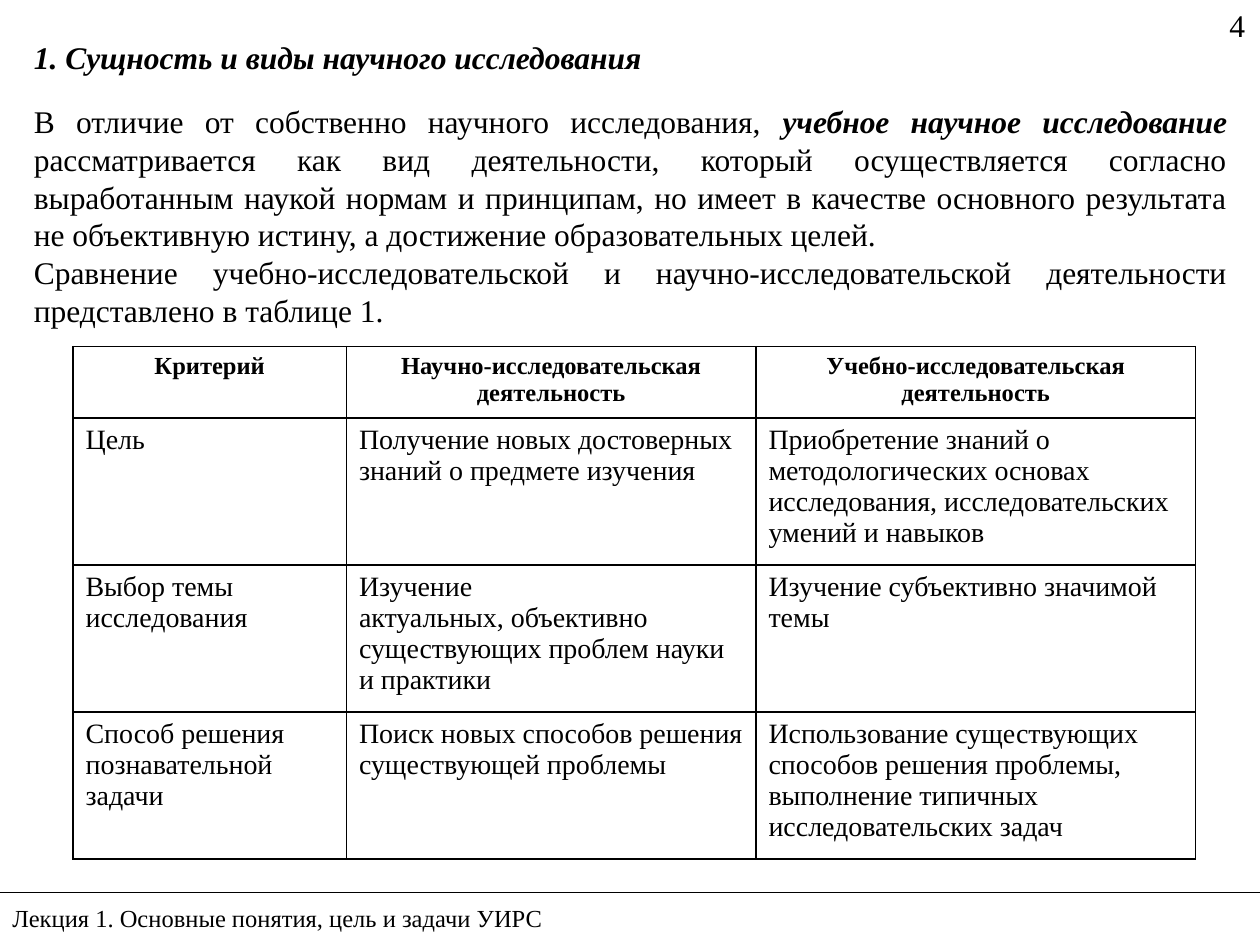
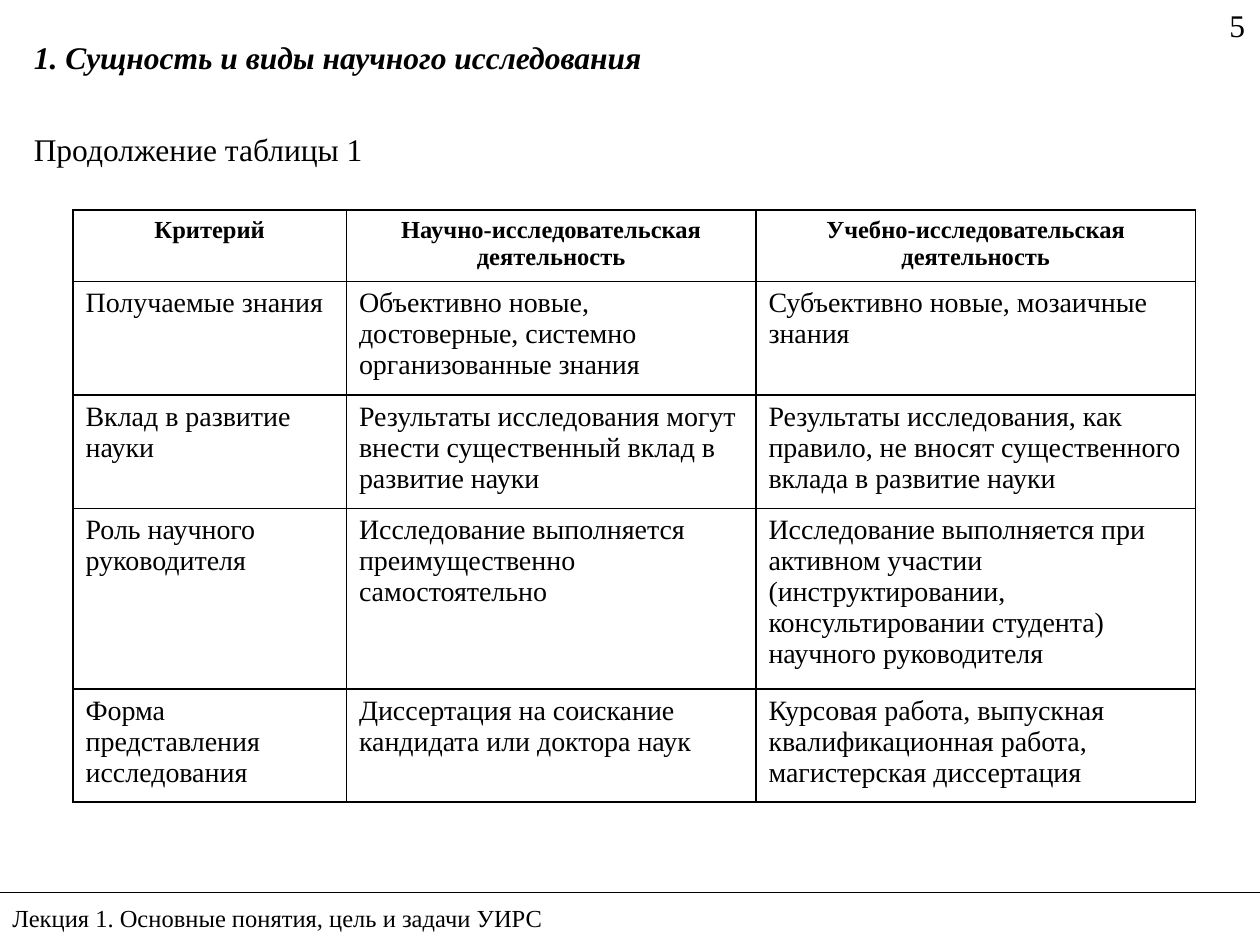
from dataclasses import dataclass

from lxml import etree
from pptx import Presentation
from pptx import util as u
from pptx.dml.color import RGBColor
from pptx.enum import shapes, text
from pptx.oxml.ns import qn

TITLE = "1. Сущность и виды научного исследования"
FOOT = "Лекция 1. Основные понятия, цель и задачи УИРС"
HEAD = ("Критерий", "Научно-исследовательская деятельность",
        "Учебно-исследовательская деятельность")

# Body: paragraphs made of (words, stressed) runs; rows: (height, cells)
PAGES = [
    {
        "page": "4",
        "body": [
            [("В отличие от собственно научного исследования, ", False),
             ("учебное научное исследование ", True),
             ("рассматривается как вид деятельности, который осуществляется "
              "согласно выработанным наукой нормам и принципам, но имеет в "
              "качестве основного результата не объективную истину, а "
              "достижение образовательных целей.", False)],
            [("Сравнение учебно-исследовательской и научно-исследовательской "
              "деятельности представлено в таблице 1.", False)],
        ],
        "box": (12.24, 54, 696.24, 138.24),
        "top": 198,
        "rows": [
            (84, ("Цель",
                  "Получение новых достоверных знаний о предмете изучения",
                  "Приобретение знаний о методологических основах "
                  "исследования, исследовательских умений и навыков")),
            (84, ("Выбор темы исследования",
                  "Изучение\nактуальных, объективно существующих проблем "
                  "науки и практики",
                  "Изучение субъективно значимой темы")),
            (84, ("Способ решения познавательной задачи",
                  "Поиск новых способов решения существующей проблемы",
                  "Использование существующих способов решения проблемы, "
                  "выполнение типичных исследовательских задач")),
        ],
    },
    {
        "page": "5",
        "body": [[("Продолжение таблицы 1", False)]],
        "box": (12.24, 70.56, 696.24, 28.8),
        "top": 120,
        "rows": [
            (64.8, ("Получаемые знания",
                    "Объективно новые, достоверные, системно организованные "
                    "знания",
                    "Субъективно новые, мозаичные знания")),
            (64.8, ("Вклад в развитие науки",
                    "Результаты исследования могут внести существенный вклад "
                    "в развитие науки",
                    "Результаты исследования, как правило, не вносят "
                    "существенного вклада в развитие науки")),
            (103.2, ("Роль научного руководителя",
                     "Исследование выполняется преимущественно самостоятельно",
                     "Исследование выполняется при активном участии "
                     "(инструктировании, консультировании студента) научного "
                     "руководителя")),
            (64.8, ("Форма представления\nисследования",
                    "Диссертация на соискание кандидата или доктора наук",
                    "Курсовая работа, выпускная квалификационная работа, "
                    "магистерская диссертация")),
        ],
    },
]


@dataclass(frozen=True)
class Theme:
    font: str = "Times New Roman"
    ink: str = "000000"
    paper: str = "FFFFFF"
    main: float = 18
    cell: float = 16
    small: float = 14
    rule: float = 0.75
    grid: float = 1


LOOK = Theme()
WIDE, HIGH = 720, 540
RULE_Y = 510
LEFT = 41.76
COLS = (156.24, 234, 251.28)
HEAD_H = 40.8
ALIGN = text.PP_ALIGN
MID = text.MSO_ANCHOR.MIDDLE


def apply(item, values):
    for name, value in values.items():
        setattr(item, name, value)


def write(frame, paras, size, align=ALIGN.LEFT, **style):
    """Fill a text frame with paragraphs of (words, stressed) runs."""
    for i, runs in enumerate(paras):
        para = frame.add_paragraph() if i else frame.paragraphs[0]
        para.alignment = align
        for words, stress in runs:
            run = para.add_run()
            run.text = words
            form = {"name": LOOK.font, "size": u.Pt(size),
                    "bold": stress, "italic": stress}
            apply(run.font, {**form, **style})
            run.font.color.rgb = RGBColor.from_string(LOOK.ink)


def plain(words):
    return [[(line, False)] for line in words.split("\n")]


def label(slide, box, paras, size, align=ALIGN.LEFT, wrap=True, anchor=MID,
          **style):
    frame = slide.shapes.add_textbox(*map(u.Pt, box)).text_frame
    apply(frame, {"word_wrap": wrap, "vertical_anchor": anchor,
                  "auto_size": text.MSO_AUTO_SIZE.SHAPE_TO_FIT_TEXT})
    write(frame, paras, size, align, **style)


def edge(cell):
    """Draw the four borders, placed ahead of the cell's fill."""
    props = cell._tc.get_or_add_tcPr()
    for i, side in enumerate(("lnL", "lnR", "lnT", "lnB")):
        line = etree.Element(qn("a:" + side), w=str(u.Pt(LOOK.grid)))
        fill = etree.SubElement(line, qn("a:solidFill"))
        etree.SubElement(fill, qn("a:srgbClr"), val=LOOK.ink)
        props.insert(i, line)


def table(slide, top, rows):
    rows = [(HEAD_H, HEAD), *rows]
    high = sum(row[0] for row in rows)
    grid = slide.shapes.add_table(
        len(rows), len(COLS), u.Pt(LEFT), u.Pt(top),
        u.Pt(sum(COLS)), u.Pt(high)).table
    apply(grid, {"first_row": False, "horz_banding": False})
    for col, wide in zip(grid.columns, COLS):
        col.width = u.Pt(wide)
    for r, (tall, cells) in enumerate(rows):
        grid.rows[r].height = u.Pt(tall)
        for c, words in enumerate(cells):
            cell = grid.cell(r, c)
            cell.fill.background()
            edge(cell)
            if r:
                write(cell.text_frame, plain(words), LOOK.cell)
            else:
                write(cell.text_frame, plain(words), LOOK.small,
                      ALIGN.CENTER, bold=True)


def frame(slide, page):
    """Add what all slides share: footer, rule, title, page number."""
    back = slide.background.fill
    back.solid()
    back.fore_color.rgb = RGBColor.from_string(LOOK.paper)
    label(slide, (0, 512.64, WIDE, 24), plain(FOOT), LOOK.small)
    rule = slide.shapes.add_connector(
        shapes.MSO_CONNECTOR.STRAIGHT, 0, u.Pt(RULE_Y), u.Pt(WIDE),
        u.Pt(RULE_Y))
    rule.line.width = u.Pt(LOOK.rule)
    rule.line.color.rgb = RGBColor.from_string(LOOK.ink)
    etree.SubElement(rule._element.spPr, qn("a:effectLst"))
    label(slide, (12.24, 18, 694, 28.8), plain(TITLE), LOOK.main,
          bold=True, italic=True)
    label(slide, (695.52, 0, 23.76, 28.8), plain(page), LOOK.main,
          wrap=False, anchor=text.MSO_ANCHOR.TOP)


def main():
    deck = Presentation()
    apply(deck, {"slide_width": u.Pt(WIDE), "slide_height": u.Pt(HIGH)})
    for data in PAGES:
        slide = deck.slides.add_slide(deck.slide_layouts[6])
        frame(slide, data["page"])
        label(slide, data["box"], data["body"], LOOK.main, ALIGN.JUSTIFY)
        table(slide, data["top"], data["rows"])
    deck.save("out.pptx")


if __name__ == "__main__":
    main()
